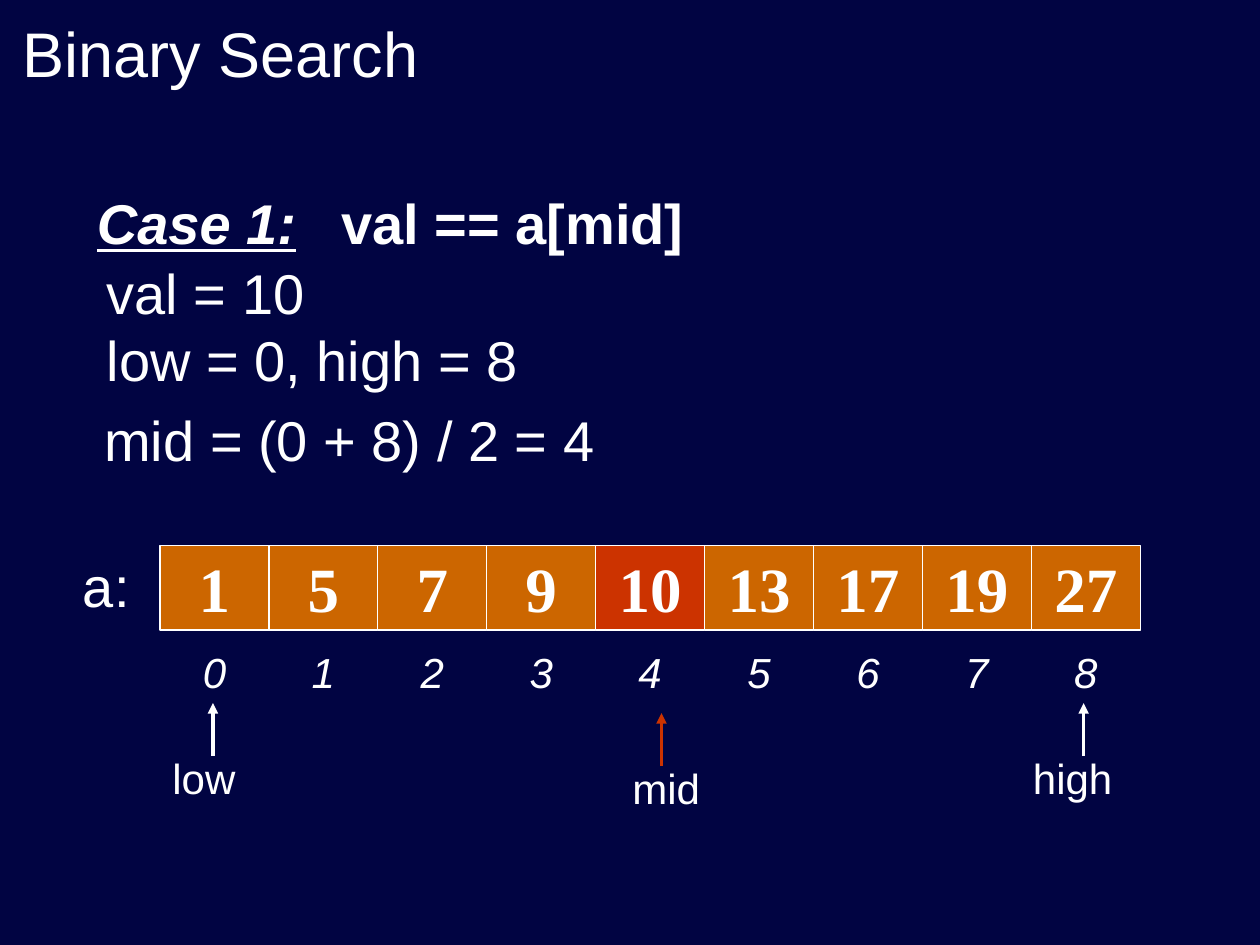
from dataclasses import dataclass

from lxml import etree
from pptx import Presentation
from pptx.dml.color import RGBColor
from pptx.enum.shapes import MSO_CONNECTOR, MSO_SHAPE
from pptx.enum.text import MSO_ANCHOR, MSO_AUTO_SIZE, PP_ALIGN
from pptx.oxml.ns import qn
from pptx.util import Inches, Pt

RECT = MSO_SHAPE.RECTANGLE
LINE = MSO_CONNECTOR.STRAIGHT
TOP, MIDDLE = MSO_ANCHOR.TOP, MSO_ANCHOR.MIDDLE
LEFT, CENTER = PP_ALIGN.LEFT, PP_ALIGN.CENTER
FIT, FIXED = MSO_AUTO_SIZE.SHAPE_TO_FIT_TEXT, MSO_AUTO_SIZE.NONE

COLORS = {"back": "010442", "text": "FFFFFF", "cell": "CC6600", "hit": "CC3300"}
VALUES = [1, 5, 7, 9, 10, 13, 17, 19, 27]
MID = 4
ROW_LEFT, ROW_RIGHT, ROW_TOP, CELL_H = 1.27, 9.05, 4.33, 0.67
CELL_W = (ROW_RIGHT - ROW_LEFT) / len(VALUES)
STEM = 0.42


@dataclass
class Label:
    text: str
    left: float
    top: float
    width: float
    height: float
    size: int = 32
    before: int = 0


@dataclass
class Marker:
    label: Label
    x: float
    color: str


LABELS = [
    Label("val = 10\nlow = 0, high = 8", 0.75, 2, 4.67, 1.17),
    Label("mid = (0 + 8) / 2 = 4", 0.73, 3.17, 4.17, 0.64),
    Label("a:", 0.56, 4.33, 0.67, 0.64, before=20),
]
MARKERS = [
    Marker(Label("low", 1.27, 5.92, 1, 0.5, 24, 15), 1.69, "text"),
    Marker(Label("mid", 4.92, 6, 0.75, 0.5, 24, 15), 5.25, "hit"),
    Marker(Label("high", 8.1, 5.92, 1.17, 0.5, 24, 15), 8.6, "text"),
]


def rgb(name: str) -> RGBColor:
    return RGBColor.from_string(COLORS[name])


def style(run, size=32, font="Arial", bold=False, italic=False, under=False) -> None:
    run.font.size = Pt(size)
    run.font.name = font
    run.font.bold = bold
    run.font.italic = italic
    run.font.underline = under
    run.font.color.rgb = rgb("text")


def write(shape, text: str, align=LEFT, anchor=TOP, wrap=True, fit=FIXED,
          before=0, **form) -> None:
    frame = shape.text_frame
    frame.word_wrap = wrap
    frame.auto_size = fit
    frame.vertical_anchor = anchor
    for i, line in enumerate(text.split("\n")):
        para = frame.add_paragraph() if i else frame.paragraphs[0]
        para.alignment = align
        para.space_before = Pt(before)
        run = para.add_run()
        run.text = line
        style(run, **form)


def add_box(slide, left: float, top: float, width: float, height: float):
    return slide.shapes.add_textbox(
        Inches(left), Inches(top), Inches(width), Inches(height))


def add_label(slide, label: Label) -> None:
    box = add_box(slide, label.left, label.top, label.width, label.height)
    write(box, label.text, fit=FIT, size=label.size, before=label.before)


def add_case(slide) -> None:
    box = add_box(slide, 0.67, 1.45, 7.08, 0.63)
    write(box, "Case 1:", fit=FIT, before=20, bold=True, italic=True, under=True)
    para = box.text_frame.paragraphs[0]
    run = para.add_run()
    run.text = "\tval == a[mid]"
    style(run, bold=True)
    props = para._p.get_or_add_pPr()
    tabs = etree.SubElement(props, qn("a:tabLst"))
    etree.SubElement(tabs, qn("a:tab"), pos=str(Inches(1.94)), algn="l")


def add_cell(slide, index: int) -> None:
    left = ROW_LEFT + index * CELL_W
    cell = slide.shapes.add_shape(
        RECT, Inches(left), Inches(ROW_TOP), Inches(CELL_W), Inches(CELL_H))
    cell.shadow.inherit = False
    cell.fill.solid()
    cell.fill.fore_color.rgb = rgb("hit" if index == MID else "cell")
    cell.line.color.rgb = rgb("text")
    cell.line.width = Pt(0.75)
    write(cell, str(VALUES[index]), align=CENTER, anchor=MIDDLE, wrap=False,
          size=36, font="Times New Roman", bold=True)
    box = add_box(slide, left, ROW_TOP + CELL_H, CELL_W, CELL_H)
    write(box, str(index), align=CENTER, anchor=MIDDLE, wrap=False,
          size=24, italic=True)


def add_marker(slide, mark: Marker) -> None:
    add_label(slide, mark.label)
    x, foot = Inches(mark.x), mark.label.top + 0.08
    arrow = slide.shapes.add_connector(
        LINE, x, Inches(foot), x, Inches(foot - STEM))
    arrow.line.color.rgb = rgb(mark.color)
    arrow.line.width = Pt(2)
    etree.SubElement(arrow.line._get_or_add_ln(), qn("a:tailEnd"), type="triangle")
    etree.SubElement(arrow._element.spPr, qn("a:effectLst"))


def main() -> None:
    deck = Presentation()
    deck.slide_width, deck.slide_height = Inches(10), Inches(7.5)
    slide = deck.slides.add_slide(deck.slide_layouts[5])
    slide.background.fill.solid()
    slide.background.fill.fore_color.rgb = rgb("back")

    title = slide.shapes.title
    title.left, title.top = Inches(0.08), Inches(0.08)
    title.width, title.height = Inches(8.5), Inches(0.67)
    write(title, "Binary Search", anchor=MIDDLE, size=36)

    add_case(slide)
    for label in LABELS:
        add_label(slide, label)
    for index in range(len(VALUES)):
        add_cell(slide, index)
    for mark in MARKERS:
        add_marker(slide, mark)
    deck.save("out.pptx")


if __name__ == "__main__":
    main()
